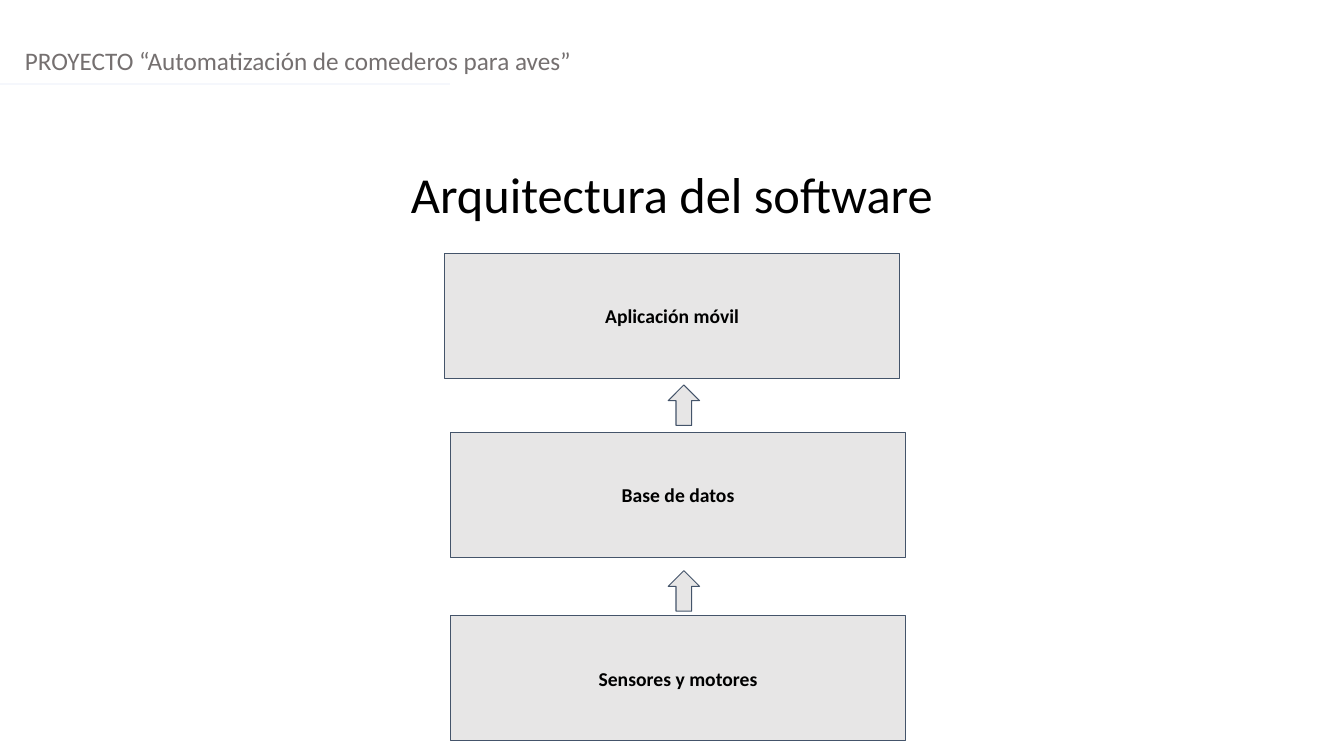
import pptx
import pptx.dml.color
import pptx.enum.shapes
import pptx.enum.text
import pptx.oxml.ns
import pptx.util
from lxml import etree
from pptx.dml.color import RGBColor
from pptx.util import Cm

BLACK = RGBColor(0x00, 0x00, 0x00)
HEADER_GRAY = RGBColor(0x75, 0x70, 0x70)
RULE_COLOR = RGBColor(0xF5, 0xF7, 0xFC)
LAYER_FILL = RGBColor(0xE7, 0xE6, 0xE6)
LAYER_LINE = RGBColor(0x44, 0x54, 0x6A)

SHAPES = pptx.enum.shapes.MSO_SHAPE
ALIGN = pptx.enum.text.PP_ALIGN
ANCHOR = pptx.enum.text.MSO_ANCHOR

SLIDE_WIDTH = 33.87
LAYER_SIZE = (11.48, 3.15)
ARROW_SIZE = (0.79, 1.02)
ARROW_LEFT = 16.84

# Layers from top to bottom: text, left, top
LAYERS = [
    ("Aplicación móvil", 11.2, 6.38),
    ("Base de datos", 11.35, 10.9),
    ("Sensores y motores", 11.35, 15.52),
]
ARROW_TOPS = [9.7, 14.38]


def write_text(frame, text, size, color=BLACK, bold=False, align=ALIGN.LEFT,
               anchor=ANCHOR.TOP, margin_y=0.13):
    frame.word_wrap = True
    frame.vertical_anchor = anchor
    frame.margin_left = frame.margin_right = Cm(0.25)
    frame.margin_top = frame.margin_bottom = Cm(margin_y)
    paragraph = frame.paragraphs[0]
    paragraph.alignment = align
    run = paragraph.add_run()
    run.text = text
    run.font.name = "Calibri"
    run.font.size = pptx.util.Pt(size)
    run.font.bold = bold
    run.font.color.rgb = color


def add_label(slide, text, left, top, width, height, **text_format):
    label = slide.shapes.add_textbox(Cm(left), Cm(top), Cm(width), Cm(height))
    write_text(label.text_frame, text, **text_format)


def add_block(slide, kind, left, top, size):
    width, height = size
    block = slide.shapes.add_shape(kind, Cm(left), Cm(top), Cm(width), Cm(height))
    block.shadow.inherit = False
    block.fill.solid()
    block.fill.fore_color.rgb = LAYER_FILL
    block.line.color.rgb = LAYER_LINE
    block.line.width = pptx.util.Pt(0.75)
    return block


def add_rule(slide, left, right, top):
    rule = slide.shapes.add_connector(
        pptx.enum.shapes.MSO_CONNECTOR.STRAIGHT,
        Cm(left), Cm(top), Cm(right), Cm(top))
    rule.line.color.rgb = RULE_COLOR
    rule.line.width = pptx.util.Pt(1.25)
    etree.SubElement(rule._element.spPr, pptx.oxml.ns.qn("a:effectLst"))


def main():
    presentation = pptx.Presentation()
    presentation.slide_width = Cm(SLIDE_WIDTH)
    presentation.slide_height = Cm(19.05)
    slide = presentation.slides.add_slide(presentation.slide_layouts[6])

    # Project header and title
    add_label(slide, "PROYECTO “Automatización de comederos para aves”",
              0.38, 1.02, SLIDE_WIDTH - 0.38, 1.8, size=18, color=HEADER_GRAY)
    add_label(slide, "Arquitectura del software",
              0, 3.99, SLIDE_WIDTH, 2.39, size=36, align=ALIGN.CENTER)
    add_rule(slide, 0, 11.35, 2.11)

    # Software layers
    for text, left, top in LAYERS:
        layer = add_block(slide, SHAPES.RECTANGLE, left, top, LAYER_SIZE)
        write_text(layer.text_frame, text, size=14, bold=True,
                   align=ALIGN.CENTER, anchor=ANCHOR.MIDDLE, margin_y=0.25)

    # Data flow from each layer to the one above
    for top in ARROW_TOPS:
        add_block(slide, SHAPES.UP_ARROW, ARROW_LEFT, top, ARROW_SIZE)

    presentation.save("out.pptx")


if __name__ == "__main__":
    main()
